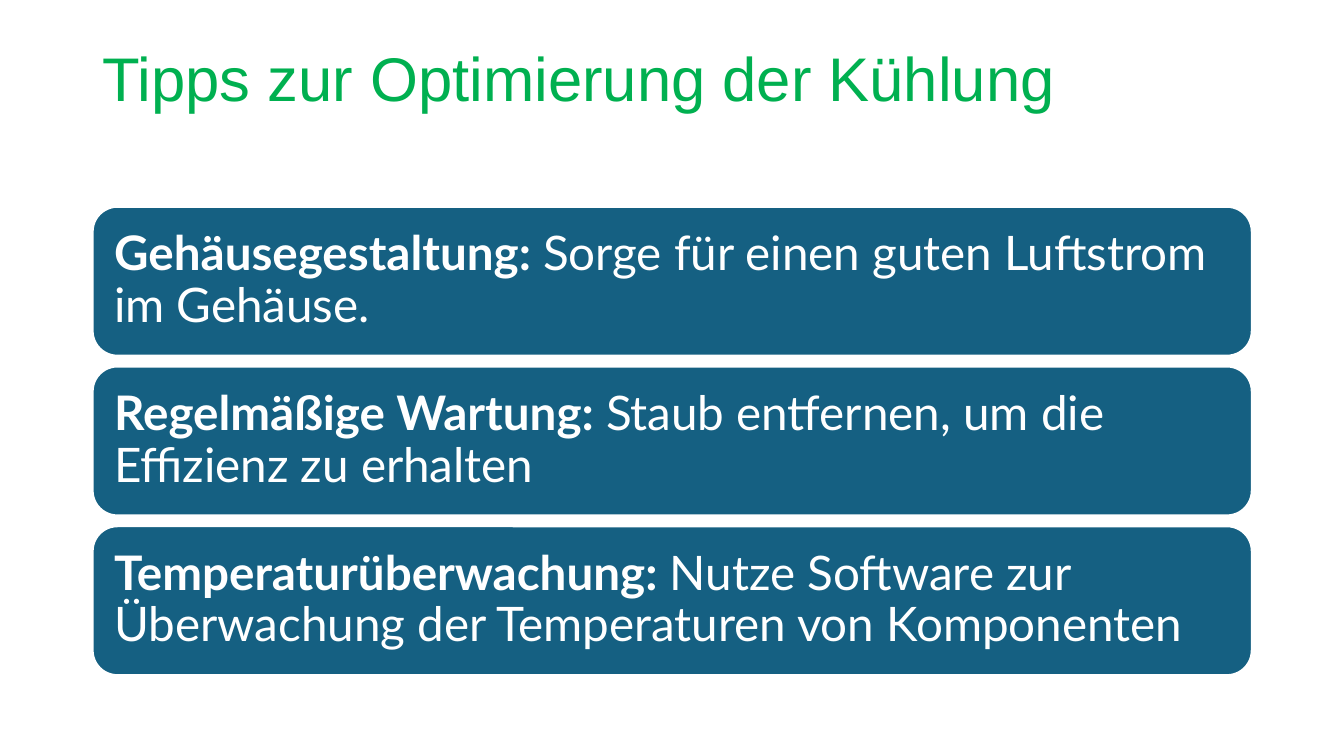
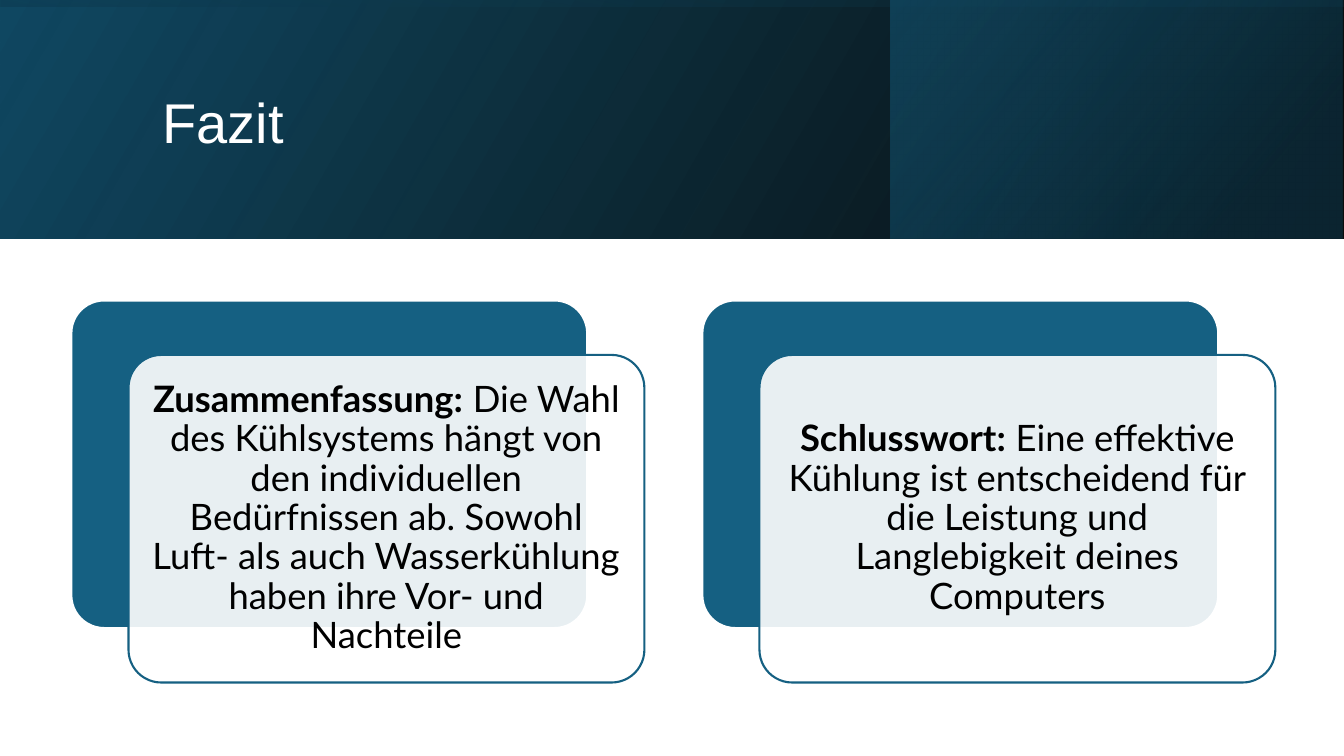
from pptx import Presentation
from pptx.dml.color import RGBColor
from pptx.enum.shapes import MSO_SHAPE
from pptx.enum.text import MSO_ANCHOR, PP_ALIGN
from pptx.oxml import parse_xml
from pptx.oxml.ns import nsdecls, qn
from pptx.util import Pt

# Shared style
BLUE, WHITE, BLACK, GREEN = "156082", "FFFFFF", "000000", "00B050"
DARK_BLUE, NIGHT_BLUE = "104862", "0B3041"
TITLE_FONT, BODY_FONT = "Arial", "Lato"
SLIDE_W, SLIDE_H, BAND_H = 960, 540, 170.6

TIPS = [
    ("Gehäusegestaltung:", " Sorge für einen guten Luftstrom im Gehäuse."),
    ("Regelmäßige Wartung:", " Staub entfernen, um die Effizienz zu erhalten"),
    ("Temperaturüberwachung:",
     " Nutze Software zur Überwachung der Temperaturen von Komponenten"),
]
CONCLUSIONS = [
    ("Zusammenfassung:",
     " Die Wahl des Kühlsystems hängt von den individuellen Bedürfnissen ab. "
     "Sowohl Luft- als auch Wasserkühlung haben ihre Vor- und Nachteile"),
    ("Schlusswort:",
     " Eine effektive Kühlung ist entscheidend für die Leistung und "
     "Langlebigkeit deines Computers"),
]


def rgb(code):
    return RGBColor.from_string(code)


def set_alpha(color_element, percent):
    color_element.append(parse_xml(
        f'<a:alpha {nsdecls("a")} val="{percent * 1000}"/>'))


def write(shape, text, *, size, color, font=BODY_FONT, lead="",
          align=PP_ALIGN.LEFT, inset=None):
    """Write one paragraph, optionally opened by a bold lead."""
    frame = shape.text_frame
    frame.word_wrap = True
    frame.vertical_anchor = MSO_ANCHOR.MIDDLE
    if inset is not None:
        frame.margin_left = frame.margin_right = Pt(inset)
        frame.margin_top = frame.margin_bottom = Pt(inset)
    paragraph = frame.paragraphs[0]
    paragraph.alignment = align
    paragraph.line_spacing = 0.9
    for part, bold in ((lead, True), (text, False)):
        if part:
            run = paragraph.add_run()
            run.text = part
            run.font.name, run.font.size, run.font.bold = font, Pt(size), bold
            run.font.color.rgb = rgb(color)


def add_title(slide, text, box, size, color):
    title = slide.shapes.add_textbox(*map(Pt, box))
    write(title, text, size=size, color=color, font=TITLE_FONT)


def add_card(slide, box, fill, line, corner=0.1667, opacity=100):
    card = slide.shapes.add_shape(MSO_SHAPE.ROUNDED_RECTANGLE, *map(Pt, box))
    card.shadow.inherit = False
    card.adjustments[0] = corner
    card.fill.solid()
    card.fill.fore_color.rgb = rgb(fill)
    if opacity < 100:
        set_alpha(card._element.spPr.find(qn("a:solidFill"))[0], opacity)
    card.line.color.rgb = rgb(line)
    card.line.width = Pt(1.5)
    return card


def add_gradient_band(slide, box, stops, angle, rotation=0):
    """Add a mirrored band; stops are (position, colour, opacity), angle clockwise."""
    band = slide.shapes.add_shape(MSO_SHAPE.RECTANGLE, *map(Pt, box))
    band.shadow.inherit = False
    band.line.fill.background()
    band.rotation = rotation
    properties = band._element.spPr
    properties.find(qn("a:xfrm")).set("flipH", "1")
    band.fill.gradient()
    band.fill.gradient_angle = 360 - angle
    for stop, (position, color, _) in zip(band.fill.gradient_stops, stops):
        stop.position = position
        stop.color.rgb = rgb(color)
    for element, (_, _, opacity) in zip(properties.iter(qn("a:srgbClr")), stops):
        if opacity < 100:
            set_alpha(element, opacity)


def build_tips(slide):
    add_title(slide, "Tipps zur Optimierung der Kühlung",
              (66, 28.8, 828, 59), 44, GREEN)
    for row, (lead, text) in enumerate(TIPS):
        card = add_card(slide, (66.2, 147.7 + row * 114.1, 828, 106.4), BLUE, WHITE)
        write(card, text, lead=lead, size=34, color=WHITE, inset=10.2)


def build_conclusion(slide):
    # Header band in three layers
    add_gradient_band(slide, (0, 0, SLIDE_W, BAND_H),
                      [(0, BLACK, 96), (1, DARK_BLUE, 100)], 330)
    add_gradient_band(slide, (636, 0, 323, BAND_H),
                      [(0.19, NIGHT_BLUE, 68), (1, BLUE, 48)], 320)
    reach = (SLIDE_W - BAND_H) / 2
    add_gradient_band(slide, (reach, -reach, BAND_H, SLIDE_W),
                      [(0.23, DARK_BLUE, 16), (0.99, BLACK, 45)], 350, rotation=270)
    add_title(slide, "Fazit", (109, 27.4, 765, 124), 40, WHITE)

    # Text cards, each over an offset backing
    width, height = 368.5, 234
    for column, (lead, text) in enumerate(CONCLUSIONS):
        left, top = 51 + column * 450.7, 214.6
        add_card(slide, (left, top, width, height), BLUE, WHITE, corner=0.1)
        front = add_card(slide, (left + 40.8, top + 38.9, width, height),
                         WHITE, BLUE, corner=0.1, opacity=90)
        write(front, text, lead=lead, size=26, color=BLACK,
              align=PP_ALIGN.CENTER, inset=8)


def main():
    deck = Presentation()
    deck.slide_width, deck.slide_height = Pt(SLIDE_W), Pt(SLIDE_H)
    for build in (build_tips, build_conclusion):
        build(deck.slides.add_slide(deck.slide_layouts[6]))
    deck.save("out.pptx")


if __name__ == "__main__":
    main()
